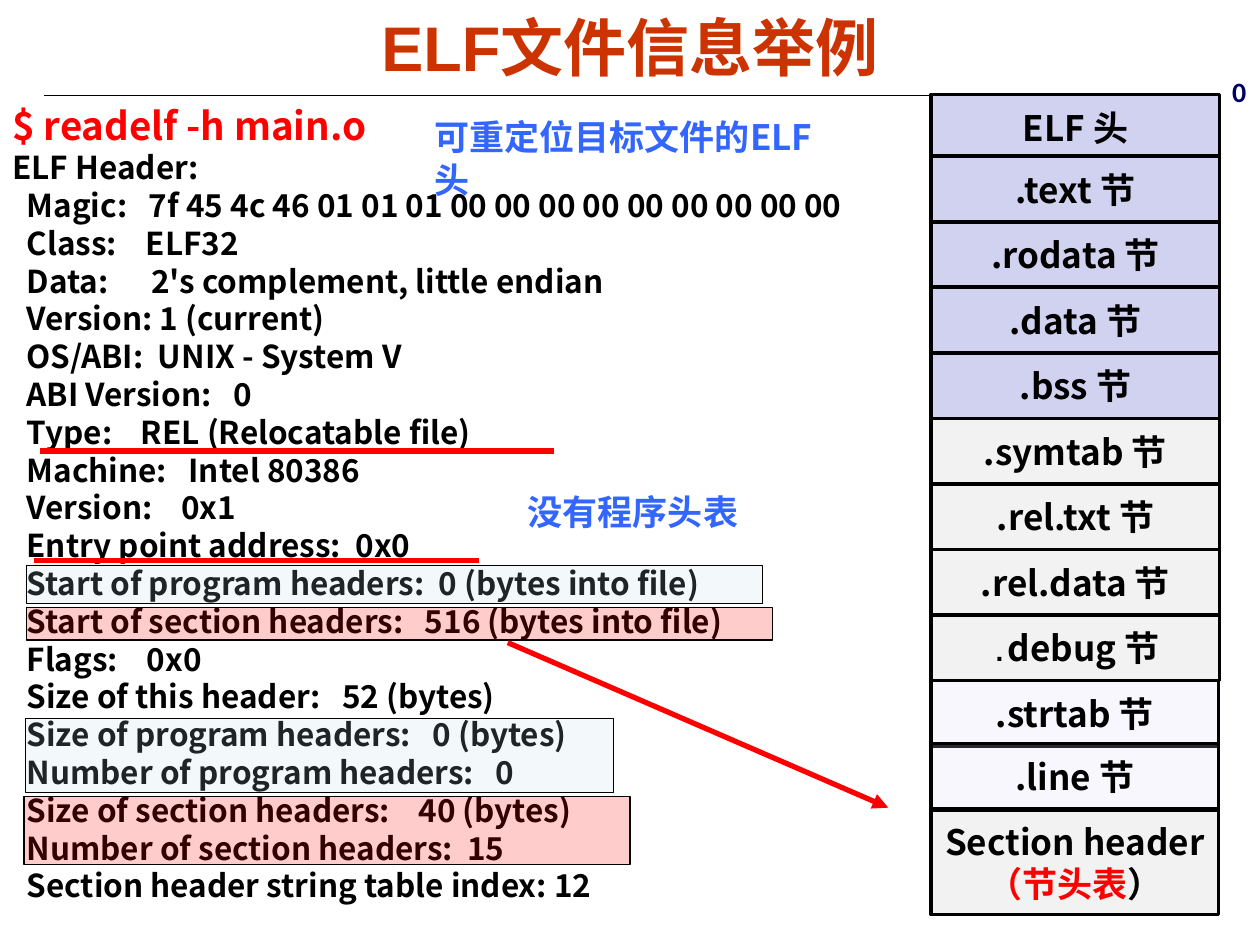
from typing import NamedTuple, Optional

from lxml.etree import SubElement
from pptx import Presentation
from pptx.dml.color import RGBColor
from pptx.enum.shapes import MSO_CONNECTOR, MSO_SHAPE
from pptx.enum.text import MSO_ANCHOR as ANCHOR, PP_ALIGN as ALIGN
from pptx.oxml.ns import qn
from pptx.util import Emu, Pt

PX = 9144  # 100 px to the inch
CJK = "Noto Sans CJK SC"
BLACK = RGBColor(0x00, 0x00, 0x00)
RED = RGBColor(0xFF, 0x00, 0x00)
BLUE = RGBColor(0x33, 0x66, 0xFF)
NAVY = RGBColor(0x00, 0x00, 0x66)
RUST = RGBColor(0xCC, 0x33, 0x00)
TEAL = RGBColor(0xBB, 0xE0, 0xE3)
LILAC = RGBColor(0xD1, 0xD1, 0xF0)
PALE_LILAC = RGBColor(0xD6, 0xD6, 0xF5)
GREY = RGBColor(0xF2, 0xF2, 0xF2)


class Run(NamedTuple):
    text: str
    size: int = 20
    color: RGBColor = BLACK
    font: str = CJK


class Box(NamedTuple):
    x: int
    y: int
    w: int
    h: int
    fill: RGBColor
    alpha: int = 100
    line_pt: float = 2
    paragraphs: tuple[tuple[Run, ...], ...] = ()


class Label(NamedTuple):
    x: int
    y: int
    w: int
    h: int
    run: Run
    wrap: bool = True
    align: Optional[ALIGN] = None
    anchor: ANCHOR = ANCHOR.TOP


class Line(NamedTuple):
    x1: int
    y1: int
    x2: int
    y2: int
    color: RGBColor = RED
    width_pt: float = 3
    arrow: bool = False


HEADER_DUMP = """ELF Header:
  Magic:   7f 45 4c 46 01 01 01 00 00 00 00 00 00 00 00 00
  Class:    ELF32
  Data:      2's complement, little endian
  Version: 1 (current)
  OS/ABI:  UNIX - System V
  ABI Version:   0
  Type:    REL (Relocatable file)
  Machine:   Intel 80386
  Version:    0x1
  Entry point address:  0x0
  Start of program headers:  0 (bytes into file)
  Start of section headers:   516 (bytes into file)
  Flags:    0x0
  Size of this header:   52 (bytes)
  Size of program headers:   0 (bytes)
  Number of program headers:   0
  Size of section headers:    40 (bytes)
  Number of section headers:  15
  Section header string table index: 12""".split("\n")

HIGHLIGHTS = [
    Box(21, 449, 584, 30, TEAL, 17, 0.75),
    Box(20, 570, 467, 59, TEAL, 17, 0.75),
    Box(21, 482, 592, 26, RED, 20, 0.75),
    Box(19, 632, 481, 54, RED, 20, 0.75),
]

SECTION_X, SECTION_W, SECTION_H = 739, 229, 52
LOADED = [".text", ".rodata", ".data", ".bss"]
LINKING = [".symtab", ".rel.txt", ".rel.data"]


def section(row: int, name: str, fill: RGBColor) -> Box:
    return Box(SECTION_X, 124 + SECTION_H * row, SECTION_W, SECTION_H, fill,
               paragraphs=((Run(f"{name} 节"),),))


SECTIONS = [
    Box(SECTION_X, 75, SECTION_W, SECTION_H, LILAC, paragraphs=((Run("ELF 头"),),)),
    *(section(i, name, LILAC) for i, name in enumerate(LOADED)),
    *(section(i, name, GREY) for i, name in enumerate(LINKING, len(LOADED))),
    Box(SECTION_X, 488, SECTION_W, SECTION_H, GREY,
        paragraphs=((Run(".", 16, font="Courier New"), Run("debug 节")),)),
    Box(SECTION_X, 643, 228, 83, GREY,
        paragraphs=((Run("Section header"),), (Run("（节头表", color=RED), Run("）")))),
    Box(SECTION_X, 540, 228, SECTION_H, PALE_LILAC, 19, paragraphs=((Run(".strtab 节"),),)),
    Box(SECTION_X, 590, 228, SECTION_H, PALE_LILAC, 19, paragraphs=((Run(".line 节"),),)),
]

TITLE = Label(50, 6, 900, 61, Run("ELF文件信息举例", 36, RUST, "Arial"),
              align=ALIGN.CENTER, anchor=ANCHOR.MIDDLE)
LABELS = [
    Label(968, 54, 27, 36, Run("0", 16, NAVY, "Calibri"), wrap=False),
    Label(335, 86, 347, 43, Run("可重定位目标文件的ELF头", color=BLUE)),
    Label(409, 384, 222, 43, Run("没有程序头表", color=BLUE)),
]

RULE = Line(35, 76, 965, 76, BLACK, 0.75)
UNDERLINES = [Line(32, 358, 440, 358), Line(27, 445, 380, 445)]
ARROW = Line(403, 510, 705, 641, arrow=True)


def px(*lengths: int) -> list[Emu]:
    return [Emu(n * PX) for n in lengths]


def add_run(p, run: Run) -> None:
    r = p.add_run()
    r.text = run.text
    r.font.size, r.font.bold, r.font.name = Pt(run.size), True, run.font
    r.font.color.rgb = run.color
    SubElement(r.font._element, qn("a:ea")).set("typeface", CJK)


def draw_line(slide, line: Line) -> None:
    s = slide.shapes.add_connector(MSO_CONNECTOR.STRAIGHT, *px(*line[:4]))
    s.line.color.rgb, s.line.width = line.color, Pt(line.width_pt)
    if line.arrow:
        SubElement(s.line._get_or_add_ln(), qn("a:tailEnd")).set("type", "triangle")
    SubElement(s._element.spPr, qn("a:effectLst"))


def draw_box(slide, box: Box) -> None:
    s = slide.shapes.add_shape(MSO_SHAPE.RECTANGLE, *px(*box[:4]))
    s.shadow.inherit = False
    s.fill.solid()
    s.fill.fore_color.rgb = box.fill
    if box.alpha < 100:
        color = s._element.spPr.find(qn("a:solidFill"))[0]
        SubElement(color, qn("a:alpha")).set("val", str(box.alpha * 1000))
    s.line.color.rgb, s.line.width = BLACK, Pt(box.line_pt)
    tf = s.text_frame
    tf.word_wrap, tf.vertical_anchor = False, ANCHOR.MIDDLE
    for i, runs in enumerate(box.paragraphs):
        p = tf.add_paragraph() if i else tf.paragraphs[0]
        p.alignment, p.line_spacing = ALIGN.CENTER, Pt(24)
        for run in runs:
            add_run(p, run)


def draw_label(slide, label: Label) -> None:
    tf = slide.shapes.add_textbox(*px(*label[:4])).text_frame
    tf.word_wrap, tf.vertical_anchor = label.wrap, label.anchor
    p = tf.paragraphs[0]
    p.alignment = label.align
    if label.run.font == CJK:
        p.line_spacing = Pt(24.5)
    add_run(p, label.run)


def draw_dump(slide) -> None:
    """Write the readelf command and the lines it prints."""
    tf = slide.shapes.add_textbox(*px(0, 71, 900, 658)).text_frame
    tf.word_wrap = True
    p = tf.paragraphs[0]
    p.line_spacing = Pt(30)
    add_run(p, Run("$ readelf -h main.o", 22, RED))
    for text in HEADER_DUMP:
        p = tf.add_paragraph()
        p.line_spacing = Pt(21.6)
        add_run(p, Run(text, 18))


def main() -> None:
    prs = Presentation()
    prs.slide_width, prs.slide_height = px(1000, 750)
    slide = prs.slides.add_slide(prs.slide_layouts[6])
    draw_line(slide, RULE)
    draw_label(slide, TITLE)
    draw_dump(slide)
    for line in UNDERLINES:
        draw_line(slide, line)
    for box in HIGHLIGHTS + SECTIONS:
        draw_box(slide, box)
    for label in LABELS:
        draw_label(slide, label)
    draw_line(slide, ARROW)
    prs.save("out.pptx")


if __name__ == "__main__":
    main()
